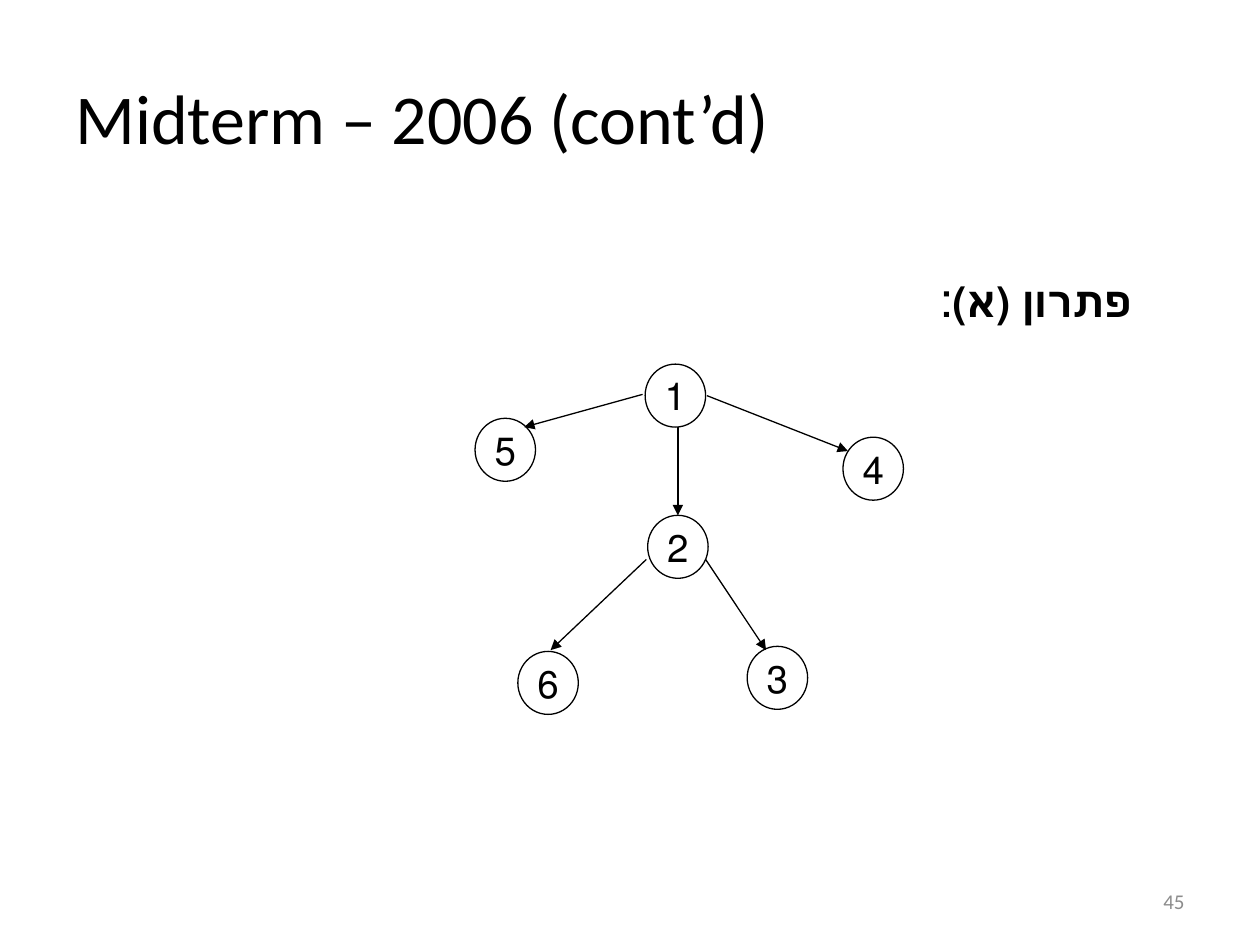
import pptx
import pptx.util
import pptx.dml.color
import pptx.enum.shapes
import pptx.enum.text
import pptx.oxml
import pptx.oxml.ns

Inches = pptx.util.Inches
Pt = pptx.util.Pt
Align = pptx.enum.text.PP_ALIGN
Anchor = pptx.enum.text.MSO_ANCHOR


def paint(code):
    return pptx.dml.color.RGBColor.from_string(code)


def write(shape, text, size, face, code, align, anchor):
    frame = shape.text_frame
    frame.word_wrap = True
    frame.vertical_anchor = anchor
    para = frame.paragraphs[0]
    para.alignment = align
    para.font.size = Pt(size)
    para.font.name = face
    para.font.color.rgb = paint(code)
    para.add_run().text = text
    return para


deck = pptx.Presentation()
deck.slide_width, deck.slide_height = Inches(10), Inches(7.5)
slide = deck.slides.add_slide(deck.slide_layouts[6])

title = slide.shapes.add_textbox(Inches(0.5), Inches(0.3), Inches(9), Inches(1.25))
write(title, "Midterm – 2006 (cont’d)", 40, "Calibri", "000000", Align.LEFT, Anchor.MIDDLE)
number = slide.shapes.add_textbox(Inches(7.17), Inches(6.95), Inches(2.33), Inches(0.4))
write(number, "45", 12, "Calibri", "8C8C8C", Align.RIGHT, Anchor.MIDDLE)

tree = slide.shapes.add_group_shape()
edges = [
    (5.38, 3.39, 5.38, 4.09),
    (5.61, 3.14, 6.73, 3.58),
    (5.1, 3.13, 4.16, 3.39),
    (5.6, 4.44, 6.08, 5.16),
    (5.13, 4.44, 4.37, 5.16),
]
for edge in edges:
    line = tree.shapes.add_connector(
        pptx.enum.shapes.MSO_CONNECTOR.STRAIGHT, *[Inches(v) for v in edge])
    line.line.color.rgb = paint("000000")
    line.line.width = Pt(0.75)
    head = pptx.oxml.parse_xml(
        '<a:tailEnd %s type="triangle"/>' % pptx.oxml.ns.nsdecls("a"))
    line.line._get_or_add_ln().append(head)
    props = line._element.spPr
    props.append(pptx.oxml.parse_xml("<a:effectLst %s/>" % pptx.oxml.ns.nsdecls("a")))

nodes = {
    "2": (5.14, 4.09),
    "3": (5.93, 5.13),
    "6": (4.11, 5.17),
    "4": (6.69, 3.47),
    "5": (3.77, 3.32),
    "1": (5.12, 2.89),
}
for label, (left, top) in nodes.items():
    node = tree.shapes.add_shape(
        pptx.enum.shapes.MSO_SHAPE.OVAL, Inches(left), Inches(top), Inches(0.48), Inches(0.5))
    node.shadow.inherit = False
    node.fill.background()
    node.line.color.rgb = paint("000000")
    node.line.width = Pt(0.75)
    frame = node.text_frame
    frame.margin_left = frame.margin_right = frame.margin_top = frame.margin_bottom = 0
    para = write(node, label, 22, "Arial", "000000", Align.CENTER, Anchor.MIDDLE)
    para._p.get_or_add_pPr().set("rtl", "1")

answer = slide.shapes.add_textbox(Inches(7.33), Inches(2.08), Inches(1.75), Inches(0.57))
para = write(answer, "פתרון (א)", 24, "Arial", "000000", Align.RIGHT, Anchor.TOP)
para._p.get_or_add_pPr().set("rtl", "1")
para.runs[0].font.bold = True
colon = para.add_run()
colon.text = ":"
colon.font.size = Pt(28)

deck.save("out.pptx")
